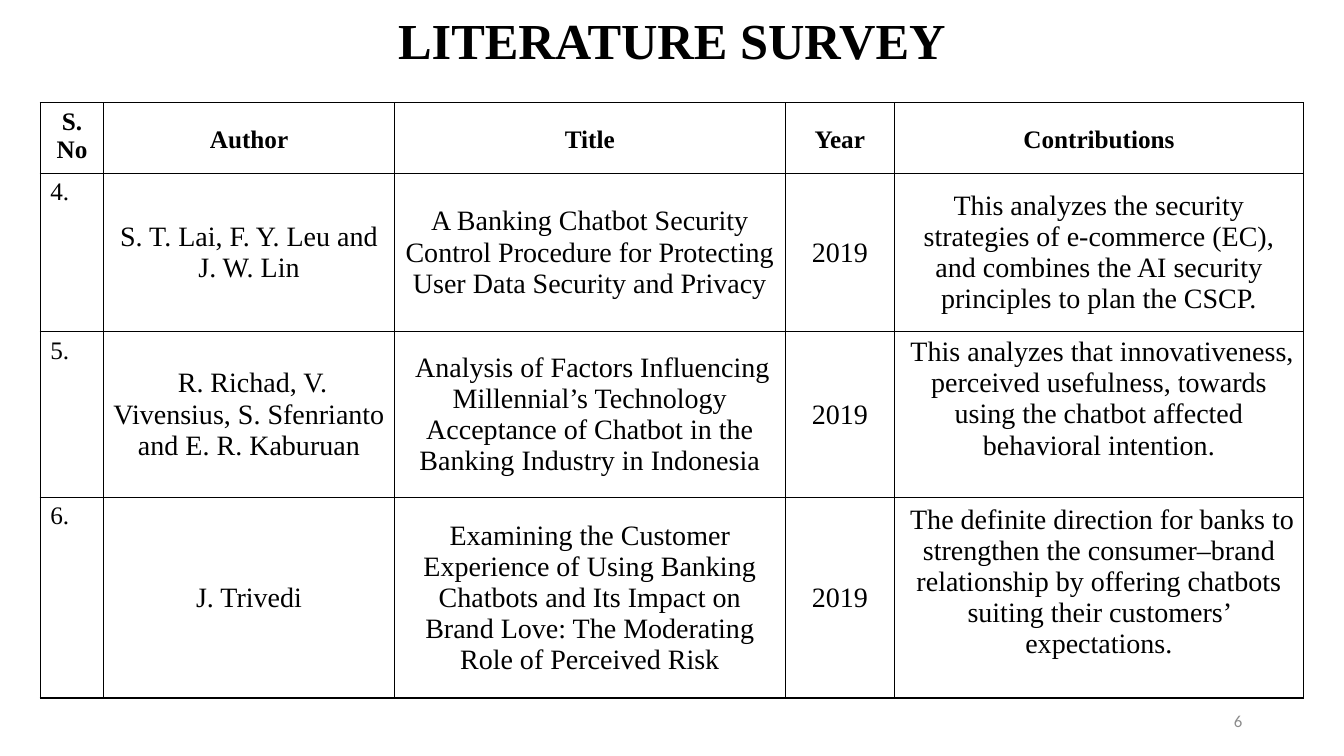
from lxml.etree import SubElement
from pptx import Presentation
from pptx.dml.color import RGBColor
from pptx.enum.text import MSO_ANCHOR, PP_ALIGN
from pptx.oxml.ns import qn
from pptx.util import Inches, Pt

BLACK = RGBColor(0x00, 0x00, 0x00)
GREY = RGBColor(0x8C, 0x8C, 0x8C)
SERIF = "Times New Roman"

COLUMN_WIDTHS = [0.63, 2.88, 3.88, 1.08, 4.06]
ROW_HEIGHTS = [0.68, 1.57, 1.64, 1.99]
SURVEY = [
    ["S. No", "Author", "Title", "Year", "Contributions"],
    ["4.", "S. T. Lai, F. Y. Leu and J. W. Lin",
     "A Banking Chatbot Security Control Procedure for Protecting User Data Security and Privacy",
     "2019",
     "This analyzes the security strategies of e-commerce (EC), and combines the AI security "
     "principles to plan the CSCP."],
    ["5.", " R. Richad, V. Vivensius, S. Sfenrianto and E. R. Kaburuan",
     " Analysis of Factors Influencing Millennial’s Technology Acceptance of Chatbot in the "
     "Banking Industry in Indonesia",
     "2019",
     " This analyzes that innovativeness, perceived usefulness, towards using the chatbot "
     "affected behavioral intention."],
    ["6.", "J. Trivedi",
     "Examining the Customer Experience of Using Banking Chatbots and Its Impact on Brand Love: "
     "The Moderating Role of Perceived Risk",
     "2019",
     " The definite direction for banks to strengthen the consumer–brand relationship by "
     "offering chatbots suiting their customers’ expectations."],
]


def set_values(target, values):
    for name, value in values.items():
        setattr(target, name, value)


def write_text(text_frame, text, size, align, color=BLACK, font=SERIF, bold=False, spacing=1.0):
    paragraph = text_frame.paragraphs[0]
    set_values(paragraph, {"alignment": align, "line_spacing": spacing})
    run = paragraph.add_run()
    run.text = text
    set_values(run.font, {"name": font, "size": Pt(size), "bold": bold})
    run.font.color.rgb = color


def place(shape, left, top, width, height):
    set_values(shape, {"left": Inches(left), "top": Inches(top),
                       "width": Inches(width), "height": Inches(height)})


def add_borders(cell):
    properties = cell._tc.get_or_add_tcPr()
    for position, side in enumerate(("lnL", "lnR", "lnT", "lnB")):
        line = SubElement(properties, qn(f"a:{side}"), w=str(Pt(1)))
        fill = SubElement(line, qn("a:solidFill"))
        SubElement(fill, qn("a:srgbClr"), val=str(BLACK))
        properties.insert(position, line)


def format_cell(cell, text, row, column):
    header, number = row == 0, column == 0
    cell.fill.background()
    add_borders(cell)
    if not number:
        # The last two contributions sit half a line above the middle
        bottom = 0.31 if column == 4 and row > 1 else 0
        set_values(cell, {"vertical_anchor": MSO_ANCHOR.MIDDLE,
                          "margin_left": Inches(0.08), "margin_right": Inches(0.08),
                          "margin_top": 0, "margin_bottom": Inches(bottom)})
    write_text(cell.text_frame, text,
               size=18 if header or number else 20,
               align=PP_ALIGN.LEFT if number and not header else PP_ALIGN.CENTER,
               bold=header,
               spacing=1.15 if header and not number else 1.0)


def add_survey_table(slide):
    frame = slide.shapes.add_table(
        len(ROW_HEIGHTS), len(COLUMN_WIDTHS), Inches(0.4), Inches(1.02),
        Inches(sum(COLUMN_WIDTHS)), Inches(sum(ROW_HEIGHTS)))
    table = frame.table
    table.horz_banding = False
    for column, width in zip(table.columns, COLUMN_WIDTHS):
        column.width = Inches(width)
    for row, height in zip(table.rows, ROW_HEIGHTS):
        row.height = Inches(height)
    for row, texts in enumerate(SURVEY):
        for column, text in enumerate(texts):
            format_cell(table.cell(row, column), text, row, column)


def add_title(slide):
    title = slide.shapes.title
    place(title, 0, -0.23, 13.33, 1.32)
    title.text_frame.vertical_anchor = MSO_ANCHOR.MIDDLE
    write_text(title.text_frame, "LITERATURE SURVEY", 36, PP_ALIGN.CENTER, bold=True, spacing=0.9)


def add_page_number(slide):
    box = slide.shapes.add_textbox(Inches(9.42), Inches(6.95), Inches(3), Inches(0.4))
    set_values(box.text_frame, {"word_wrap": True, "vertical_anchor": MSO_ANCHOR.MIDDLE})
    write_text(box.text_frame, "6", 12, PP_ALIGN.RIGHT, GREY, "Calibri")


def main():
    presentation = Presentation()
    set_values(presentation, {"slide_width": Inches(13.33), "slide_height": Inches(7.5)})
    slide = presentation.slides.add_slide(presentation.slide_layouts[5])

    # Heading, table and page number
    add_title(slide)
    add_page_number(slide)
    add_survey_table(slide)
    presentation.save("out.pptx")


if __name__ == "__main__":
    main()
